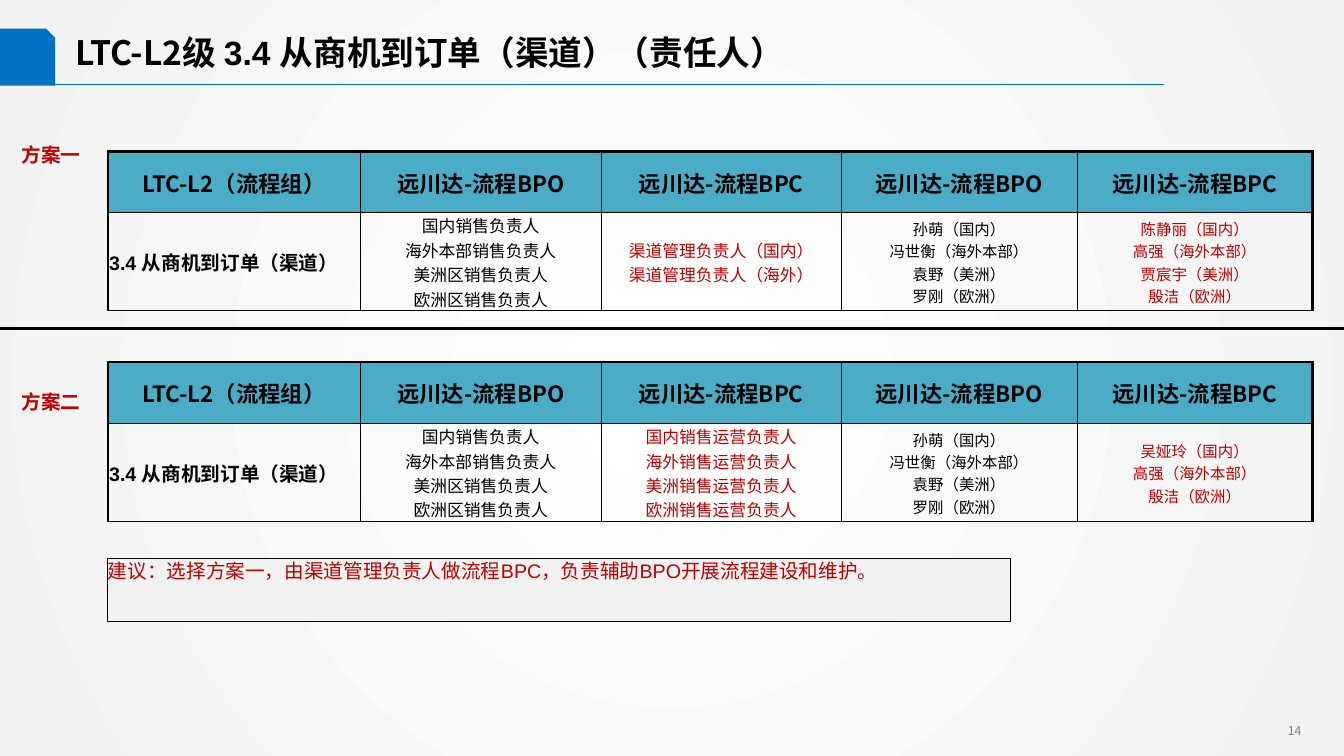
from lxml import etree
from pptx import Presentation
from pptx import oxml
from pptx.dml.color import RGBColor
from pptx.enum import shapes, text
from pptx.oxml import ns
from pptx.util import Cm, Pt

BLACK = RGBColor(0x00, 0x00, 0x00)
WHITE = RGBColor(0xFF, 0xFF, 0xFF)
RED = RGBColor(0xC0, 0x00, 0x00)
BLUE = RGBColor(0x00, 0x70, 0xC0)
TEAL = RGBColor(0x4B, 0xAC, 0xC6)
PALE = RGBColor(0xF2, 0xF2, 0xF2)
GREY = RGBColor(0x80, 0x80, 0x80)
SANS = "Noto Sans CJK SC"
ARIAL = "Arial"

PROCESS = "3.4 从商机到订单（渠道）"
TITLE = [("LTC-L2级 ", SANS), (PROCESS, ARIAL), ("（责任人）", SANS)]
HEADER = ["LTC-L2（流程组）", "远川达-流程BPO", "远川达-流程BPC", "远川达-流程BPO", "远川达-流程BPC"]
OWNERS = ["国内销售负责人", "海外本部销售负责人", "美洲区销售负责人", "欧洲区销售负责人"]
OWNER_NAMES = ["孙萌（国内）", "冯世衡（海外本部）", "袁野（美洲）", "罗刚（欧洲）"]
PLANS = [
    {
        "label": "方案一", "label_top": 3.48, "table_top": 3.81,
        "roles": ["渠道管理负责人（国内）", "渠道管理负责人（海外）"],
        "names": ["陈静丽（国内）", "高强（海外本部）", "贾宸宇（美洲）", "殷洁（欧洲）"],
    },
    {
        "label": "方案二", "label_top": 9.7, "table_top": 9.12,
        "roles": ["国内销售运营负责人", "海外销售运营负责人", "美洲销售运营负责人", "欧洲销售运营负责人"],
        "names": ["吴娅玲（国内）", "高强（海外本部）", "殷洁（欧洲）"],
    },
]
ADVICE = "建议：选择方案一，由渠道管理负责人做流程BPC，负责辅助BPO开展流程建设和维护。"
PAGE_NUMBER = "14"

PAGE_WIDTH, PAGE_HEIGHT = 33.87, 19.05
TABLE_LEFT = 2.72
COLUMN_WIDTHS = [6.36, 6.07, 6.05, 5.94, 5.94]
ROW_HEIGHTS = [1.54, 2.48]
THIN, THICK = 0.5, 2.25
BODY_STYLES = [
    (14, ARIAL, BLACK, True),
    (12, SANS, BLACK, False),
    (12, SANS, RED, False),
    (11, SANS, BLACK, False),
    (11, SANS, RED, False),
]


def style(span, size, font, color, bold=False):
    span.font.size = Pt(size)
    span.font.name = font
    span.font.bold = bold
    span.font.color.rgb = color
    east = etree.SubElement(span.font._element, ns.qn("a:ea"))
    east.set("typeface", SANS)


def write(frame, lines, look, align=text.PP_ALIGN.LEFT):
    frame.text = "\n".join(lines)
    for para in frame.paragraphs:
        para.alignment = align
        for span in para.runs:
            style(span, *look)


def clear_margins(frame):
    frame.margin_left = frame.margin_top = frame.margin_right = frame.margin_bottom = 0


def add_label(page, label, left, top, width, height, look, align=text.PP_ALIGN.LEFT, wrap=True):
    box = page.shapes.add_textbox(Cm(left), Cm(top), Cm(width), Cm(height))
    box.text_frame.word_wrap = wrap
    write(box.text_frame, [label], look, align)


def add_box(page, kind, left, top, width, height, fill):
    box = page.shapes.add_shape(kind, Cm(left), Cm(top), Cm(width), Cm(height))
    box.shadow.inherit = False
    box.fill.solid()
    box.fill.fore_color.rgb = fill
    return box


def add_rule(page, left, right, y, color, weight):
    rule = page.shapes.add_connector(shapes.MSO_CONNECTOR.STRAIGHT, Cm(left), Cm(y), Cm(right), Cm(y))
    rule.line.color.rgb = color
    rule.line.width = Pt(weight)
    etree.SubElement(rule._element.spPr, ns.qn("a:effectLst"))


def set_borders(cell, weights):
    properties = cell._tc.get_or_add_tcPr()
    for index, (side, weight) in enumerate(weights.items()):
        properties.insert(index, oxml.parse_xml(
            f'<a:ln{side} {ns.nsdecls("a")} w="{Pt(weight)}"><a:solidFill>'
            f'<a:srgbClr val="{BLACK}"/></a:solidFill></a:ln{side}>'))


def add_plan_table(page, plan):
    frame = page.shapes.add_table(
        len(ROW_HEIGHTS), len(COLUMN_WIDTHS), Cm(TABLE_LEFT), Cm(plan["table_top"]),
        Cm(sum(COLUMN_WIDTHS)), Cm(sum(ROW_HEIGHTS)))
    table = frame.table
    for column, width in zip(table.columns, COLUMN_WIDTHS):
        column.width = Cm(width)
    for row, height in zip(table.rows, ROW_HEIGHTS):
        row.height = Cm(height)
    body = [[PROCESS], OWNERS, plan["roles"], OWNER_NAMES, plan["names"]]
    last = len(COLUMN_WIDTHS) - 1
    for col in range(last + 1):
        for row in range(2):
            cell = table.cell(row, col)
            cell.vertical_anchor = text.MSO_ANCHOR.MIDDLE
            cell.margin_left = cell.margin_right = cell.margin_top = Cm(0.03)
            cell.margin_bottom = 0
            if row == 0:
                cell.fill.solid()
                cell.fill.fore_color.rgb = TEAL
                lines, look = [HEADER[col]], (16, SANS, BLACK, True)
            else:
                cell.fill.background()
                lines, look = body[col], BODY_STYLES[col]
            left_aligned = row == 1 and col == 0
            write(cell.text_frame, lines, look,
                  text.PP_ALIGN.LEFT if left_aligned else text.PP_ALIGN.CENTER)
            set_borders(cell, {
                "L": THICK if col == 0 else THIN,
                "R": THICK if col == last else THIN,
                "T": THICK if row == 0 else THIN,
                "B": THIN,
            })


def set_background(page):
    fill = page.background.fill
    fill.gradient()
    for stop, color in zip(fill.gradient_stops, (WHITE, PALE)):
        stop.color.rgb = color
    linear = page._element.find(".//" + ns.qn("a:lin"))
    linear.getparent().replace(linear, oxml.parse_xml(
        f'<a:path {ns.nsdecls("a")} path="circle">'
        '<a:fillToRect l="50000" t="50000" r="50000" b="50000"/></a:path>'))


def add_title(page):
    title = page.shapes.title
    title.left, title.top, title.width, title.height = Cm(1.9), Cm(0.58), Cm(27.79), Cm(1.47)
    frame = title.text_frame
    clear_margins(frame)
    frame.vertical_anchor = text.MSO_ANCHOR.MIDDLE
    frame.auto_size = text.MSO_AUTO_SIZE.NONE
    para = frame.paragraphs[0]
    para.alignment = text.PP_ALIGN.LEFT
    for words, font in TITLE:
        span = para.add_run()
        span.text = words
        style(span, 24, font, BLACK, True)


def main():
    deck = Presentation()
    deck.slide_width, deck.slide_height = Cm(PAGE_WIDTH), Cm(PAGE_HEIGHT)
    page = deck.slides.add_slide(deck.slide_layouts[5])
    set_background(page)
    add_label(page, PAGE_NUMBER, 30.45, 18.11, 2.6, 0.9, (8.7, SANS, GREY), text.PP_ALIGN.RIGHT)
    tab = add_box(page, shapes.MSO_SHAPE.SNIP_1_RECTANGLE, 0, 0.72, 1.39, 1.44, BLUE)
    tab.line.fill.background()
    add_rule(page, 1.35, 29.33, 2.13, BLUE, 0.75)
    add_title(page)
    for plan in PLANS:
        add_plan_table(page, plan)
        add_label(page, plan["label"], 0.29, plan["label_top"], 2, 0.86, (14, ARIAL, RED, True), wrap=False)
    add_rule(page, 0, PAGE_WIDTH, 8.28, BLACK, THICK)
    advice = add_box(page, shapes.MSO_SHAPE.RECTANGLE, TABLE_LEFT, 14.08, 22.75, 1.59, PALE)
    advice.line.color.rgb = BLACK
    advice.line.width = Pt(0.75)
    clear_margins(advice.text_frame)
    advice.text_frame.vertical_anchor = text.MSO_ANCHOR.TOP
    write(advice.text_frame, [ADVICE], (14, ARIAL, RED))
    deck.save("out.pptx")


if __name__ == "__main__":
    main()
